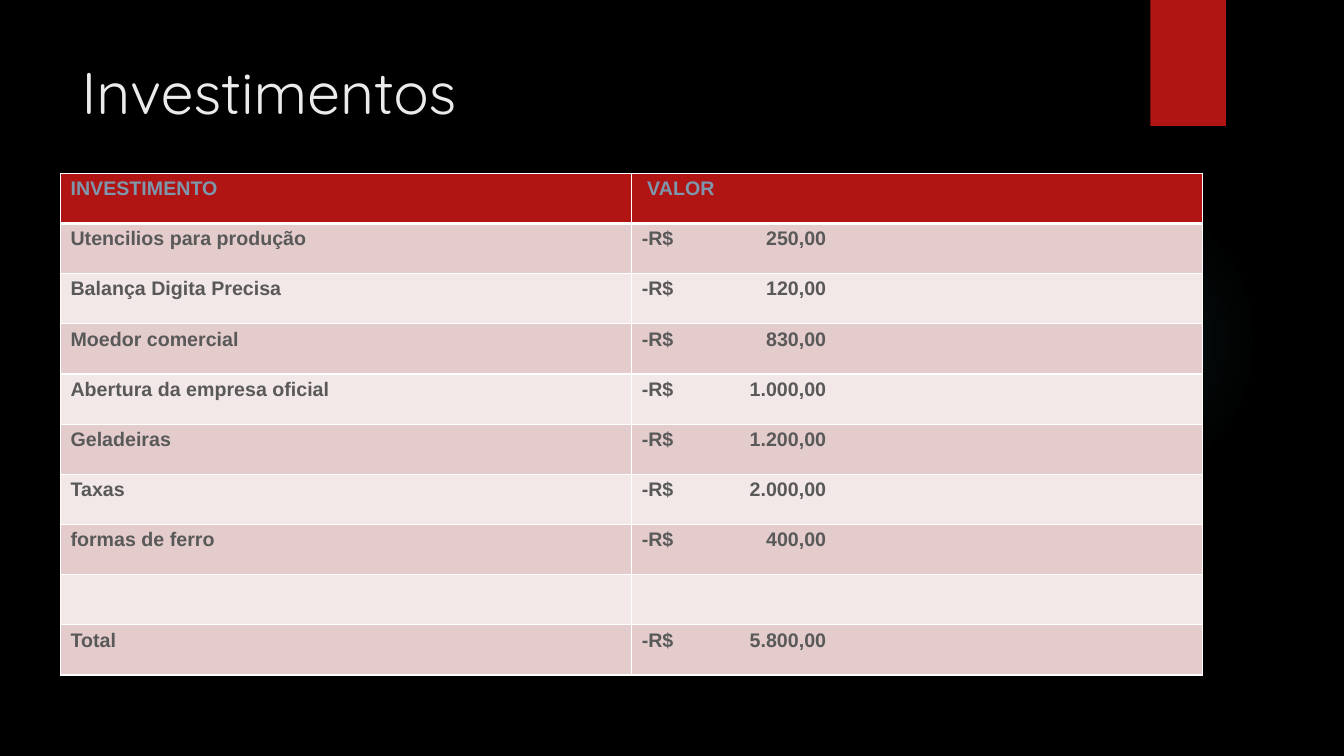
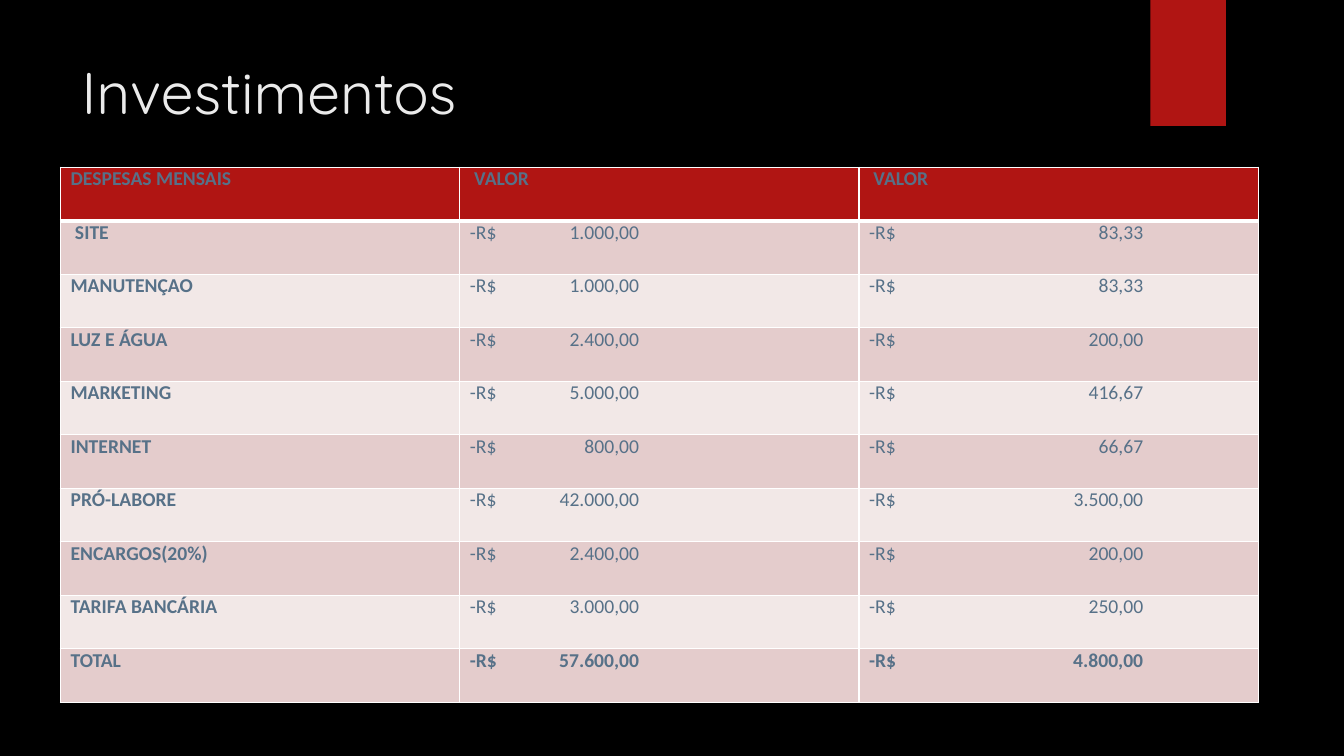
from dataclasses import dataclass

import pptx
import pptx.dml.color
import pptx.enum.shapes
import pptx.enum.text
import pptx.oxml
import pptx.oxml.ns
import pptx.util
from pptx.util import Inches


@dataclass(frozen=True)
class Theme:
    background: str = "000000"
    accent: str = "B01513"
    glow: str = "50B9C1"
    title: str = "EBEBEB"
    border: str = "FFFFFF"
    bands: tuple = ("E4CCCC", "F2E8E7")
    title_font: str = "Quicksand"
    title_size: int = 42
    table_size: int = 14
    border_width: int = 1
    header_rule: int = 3


@dataclass(frozen=True)
class TableStyle:
    font: str
    header_color: str
    body_color: str
    line_spacing: float
    bold_values: bool
    tab_stops: tuple  # right edge of the amounts in each value column, inches


THEME = Theme()

INVESTMENT_STYLE = TableStyle("Arial", "7E97AD", "595959", 1.2, True, (1.83,))
EXPENSE_STYLE = TableStyle("Calibri", "577188", "577188", 1.0, False, (1.68, 2.72))

INVESTMENTS = [
    ("INVESTIMENTO", " VALOR"),
    ("Utencilios para produção", "250,00"),
    ("Balança Digita Precisa", "120,00"),
    ("Moedor comercial", "830,00"),
    ("Abertura da empresa oficial", "1.000,00"),
    ("Geladeiras", "1.200,00"),
    ("Taxas", "2.000,00"),
    ("formas de ferro", "400,00"),
    ("", ""),
    ("Total", "5.800,00"),
]

EXPENSES = [
    ("DESPESAS MENSAIS", " VALOR", " VALOR"),
    (" SITE", "1.000,00", "83,33"),
    ("MANUTENÇAO", "1.000,00", "83,33"),
    ("LUZ E ÁGUA", "2.400,00", "200,00"),
    ("MARKETING", "5.000,00", "416,67"),
    ("INTERNET", "800,00", "66,67"),
    ("PRÓ-LABORE", "42.000,00", "3.500,00"),
    ("ENCARGOS(20%)", "2.400,00", "200,00"),
    ("TARIFA BANCÁRIA", "3.000,00", "250,00"),
    ("TOTAL", "57.600,00", "4.800,00"),
]


def rgb(value):
    return pptx.dml.color.RGBColor.from_string(value)


def set_solid(fill, color):
    fill.solid()
    fill.fore_color.rgb = rgb(color)


def add_styled_run(para, text, color, **formats):
    span = para.add_run()
    span.text = text
    for name, value in formats.items():
        setattr(span.font, name, value)
    span.font.color.rgb = rgb(color)


def add_plain_shape(page, kind, box, color):
    shape = page.shapes.add_shape(kind, *map(Inches, box))
    shape.shadow.inherit = False
    shape.line.fill.background()
    set_solid(shape.fill, color)
    return shape


def fade_fill(shape, color):
    """Replace the solid fill by a faint radial glow."""
    stops = "".join(
        f'<a:gs pos="{position * 1000}"><a:srgbClr val="{color}">'
        f'<a:alpha val="{alpha * 1000}"/></a:srgbClr></a:gs>'
        for position, alpha in ((0, 7), (36, 6), (69, 0)))
    gradient = pptx.oxml.parse_xml(
        f'<a:gradFill {pptx.oxml.ns.nsdecls("a")} rotWithShape="1">'
        f'<a:gsLst>{stops}</a:gsLst><a:path path="circle">'
        '<a:fillToRect l="50000" t="50000" r="50000" b="50000"/>'
        '</a:path></a:gradFill>')
    properties = shape.element.spPr
    properties.replace(properties.find(pptx.oxml.ns.qn("a:solidFill")), gradient)


def decorate_layout(layout, page):
    """Draw the glow and the ribbon on page, then move them to its layout."""
    for placeholder in list(layout.placeholders):
        if placeholder.placeholder_format.idx != 0:
            layout.shapes.element.remove(placeholder.element)
    kinds = pptx.enum.shapes.MSO_SHAPE
    glow = add_plain_shape(page, kinds.OVAL, (9.41, 1.83, 3.08, 3.08), THEME.glow)
    fade_fill(glow, THEME.glow)
    ribbon = add_plain_shape(page, kinds.RECTANGLE, (11.41, 0, 0.75, 1.25), THEME.accent)
    for shape in (glow, ribbon):
        layout.shapes.element.append(shape.element)


def place_title(page, text, box):
    title = page.shapes.title
    for name, length in zip(("left", "top", "width", "height"), box):
        setattr(title, name, Inches(length))
    frame = title.text_frame
    frame.word_wrap = True
    frame.auto_size = pptx.enum.text.MSO_AUTO_SIZE.NONE
    frame.vertical_anchor = pptx.enum.text.MSO_ANCHOR.TOP
    para = frame.paragraphs[0]
    para.alignment = pptx.enum.text.PP_ALIGN.LEFT
    add_styled_run(para, text, THEME.title, name=THEME.title_font,
                   size=pptx.util.Pt(THEME.title_size))


def set_borders(cell, top, bottom):
    sides = {"L": THEME.border_width, "R": THEME.border_width, "T": top, "B": bottom}
    properties = cell._tc.get_or_add_tcPr()
    for index, (side, width) in enumerate(sides.items()):
        properties.insert(index, pptx.oxml.parse_xml(
            f'<a:ln{side} {pptx.oxml.ns.nsdecls("a")} w="{pptx.util.Pt(width)}">'
            f'<a:solidFill><a:srgbClr val="{THEME.border}"/></a:solidFill></a:ln{side}>'))


def add_right_tab(para, position):
    para._p.get_or_add_pPr().append(pptx.oxml.parse_xml(
        f'<a:tabLst {pptx.oxml.ns.nsdecls("a")}>'
        f'<a:tab pos="{Inches(position)}" algn="r"/></a:tabLst>'))


def fill_cell(cell, text, row, column, is_total, style):
    is_header = row == 0
    margins = {"margin_left": 0.1, "margin_top": 0, "margin_right": 0, "margin_bottom": 0}
    for name, length in margins.items():
        setattr(cell, name, Inches(length))
    set_solid(cell.fill, THEME.accent if is_header else THEME.bands[(row - 1) % 2])
    set_borders(cell,
                top=THEME.header_rule if row == 1 else THEME.border_width,
                bottom=THEME.header_rule if is_header else THEME.border_width)
    if not text:
        return
    para = cell.text_frame.paragraphs[0]
    if column and not is_header:
        add_right_tab(para, style.tab_stops[column - 1])
        text = f"-R$\t{text}"
    para.line_spacing = style.line_spacing
    add_styled_run(para, text, style.header_color if is_header else style.body_color,
                   name=style.font, size=pptx.util.Pt(THEME.table_size),
                   bold=is_header or is_total or column == 0 or style.bold_values)


def place_table(page, rows, box, style):
    table = page.shapes.add_table(len(rows), len(rows[0]), *map(Inches, box)).table
    table.horz_banding = False
    for row, texts in enumerate(rows):
        is_total = row == len(rows) - 1
        for column, text in enumerate(texts):
            fill_cell(table.cell(row, column), text, row, column, is_total, style)


def main():
    deck = pptx.Presentation()
    deck.slide_width, deck.slide_height = Inches(13.33), Inches(7.5)
    set_solid(deck.slide_master.background.fill, THEME.background)
    layout = deck.slide_layouts.get_by_name("Title Only")
    tables = (
        (INVESTMENTS, (0.6, 1.72, 11.33, 4.98), INVESTMENT_STYLE),
        (EXPENSES, (0.6, 1.66, 11.88, 5.31), EXPENSE_STYLE),
    )
    for number, (rows, box, style) in enumerate(tables):
        page = deck.slides.add_slide(layout)
        if number == 0:
            decorate_layout(layout, page)
        place_title(page, "Investimentos", (0.71, 0.5, 10.29, 1.53))
        place_table(page, rows, box, style)
    deck.save("out.pptx")


if __name__ == "__main__":
    main()
